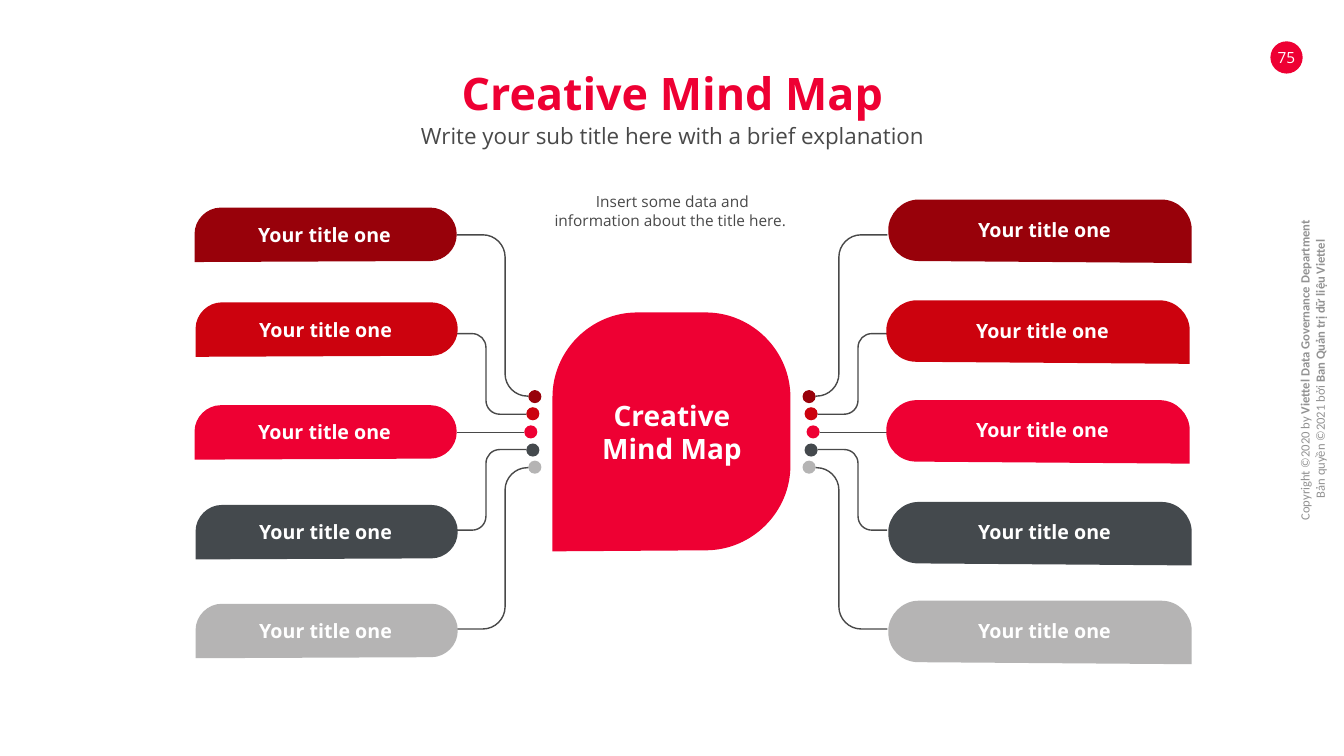
from math import hypot

from lxml import etree
from pptx import Presentation
from pptx.dml.color import RGBColor
from pptx.enum.shapes import MSO_CONNECTOR, MSO_SHAPE
from pptx.enum.text import MSO_ANCHOR, MSO_AUTO_SIZE, PP_ALIGN
from pptx.oxml.ns import qn
from pptx.util import Pt

PX = 9144  # 100 px to the inch
WIDE, HIGH = 1333, 750
OVAL, LINE = MSO_SHAPE.OVAL, MSO_CONNECTOR.STRAIGHT
TOP, CENTER = MSO_ANCHOR.TOP, PP_ALIGN.CENTER
GROW = MSO_AUTO_SIZE.SHAPE_TO_FIT_TEXT
RED, GREY, WHITE = "EE0033", "494949", "FFFFFF"
COLORS = ["98010A", "CC020E", RED, "44494D", "B5B4B4"]
hue = RGBColor.from_string

deck = Presentation()
deck.slide_width, deck.slide_height = WIDE * PX, HIGH * PX
slide = deck.slides.add_slide(deck.slide_layouts[5])
shapes = slide.shapes


def outline(corners, closed):
    """Draw a path through corners (x, y, radius), each rounded by a curve."""
    points, curves = [], {}
    for i, (x, y, r) in enumerate(corners):
        if r == 0:
            points.append((x, y))
            continue
        for ax, ay, _ in (corners[i - 1], corners[(i + 1) % len(corners)]):
            part = r / hypot(ax - x, ay - y)
            points.append((x + (ax - x) * part, y + (ay - y) * part))
        curves[len(points) - 1] = (x, y)
    pen = shapes.build_freeform(*points[0], scale=PX)
    pen.add_line_segments(points[1:], close=closed)
    shape = pen.convert_to_shape()
    path = next(shape._element.iter(qn("a:path")))
    ratio = int(path.get("w")) / shape.width
    steps = list(path)
    for j, (x, y) in curves.items():
        curve = etree.SubElement(path, qn("a:cubicBezTo"))
        for (px, py), pull in ((points[j - 1], 0.55), (points[j], 0.55),
                               (points[j], 0)):
            spot = etree.SubElement(curve, qn("a:pt"))
            px, py = px + (x - px) * pull, py + (y - py) * pull
            spot.set("x", str(round((px * PX - shape.left) * ratio)))
            spot.set("y", str(round((py * PX - shape.top) * ratio)))
        path.replace(steps[j], curve)
    return shape


def write(shape, box, lines, size, color, bold=False, font="Open Sans"):
    """Place a text shape and set its lines in one style."""
    shape.left, shape.top, shape.width, shape.height = [n * PX for n in box]
    frame = shape.text_frame
    frame.auto_size, frame.word_wrap = GROW, True
    frame.vertical_anchor = TOP
    frame.margin_left = frame.margin_right = 0
    frame.margin_top = frame.margin_bottom = 0
    frame.text = "\n".join(lines)
    for para in frame.paragraphs:
        para.alignment = CENTER
        para.font.name, para.font.size = font, Pt(size)
        para.font.bold, para.font.color.rgb = bold, hue(color)
    return frame


# Headings
write(shapes.title, (73, 65, 1188, 54), ["Creative Mind Map"], 32, RED, True)
write(shapes.add_textbox(0, 0, 0, 0), (73, 121, 1188, 27),
      ["Write your sub title here with a brief explanation"], 16, GREY)
hint = write(shapes.add_textbox(0, 0, 0, 0), (548, 191, 238, 37),
             ["Insert some data and information about the title here. "],
             11, GREY)
hint.paragraphs[0].space_after = Pt(12)

# Page number badge and the five rows of dots, wires and pills
badge = shapes.add_shape(OVAL, 1260 * PX, 41 * PX, 32 * PX, 32 * PX)
solids, wires = [(badge, RED)], []
left_pills = [(193, 206), (194, 300), (193, 402), (194, 501), (194, 599)]
right_pills = [(881, 198), (879, 298), (879, 397), (881, 498), (881, 596)]
bends = {2: (832, 22), 1: (851, 14)}  # bend x, radius

for i, color in enumerate(COLORS):
    row = i - 2
    step = abs(row)
    mid = 428.6 + 17.7 * row
    y, end = round(mid), round(428.6 + 97.7 * row)
    start = 813 - 2 * step
    for flip in (False, True):
        # Dot
        x = WIDE - start if flip else start - 13
        dot = shapes.add_shape(OVAL, x * PX, round(mid - 6.6) * PX,
                               13 * PX, 13 * PX)
        solids.append((dot, color))
        # Wire
        if row:
            bend, r = bends[step]
            path = [(start, y, 0), (bend, y, r), (bend, end, r), (880, end, 0)]
            if flip:
                path = [(WIDE - px, py, pr) for px, py, pr in path]
            wire = outline(path, False)
            wire.fill.background()
            wire.shadow.inherit = False
        else:
            ends = (WIDE - start, WIDE - 880) if flip else (start, 880)
            wire = shapes.add_connector(LINE, ends[0] * PX, y * PX,
                                        ends[1] * PX, y * PX)
        wires.append(wire)

    # Pills, each with one square corner at the outer foot
    x, y = left_pills[i]
    left = outline([(x, y, 26), (x + 260, y, 26), (x + 260, y + 53, 26),
                    (x, y + 54, 0)], True)
    write(shapes.add_textbox(0, 0, 0, 0), (x, y + 15, 258, 24),
          ["Your title one"], 14, WHITE, True)
    x, y = right_pills[i]
    right = outline([(x, y, 30), (x + 301, y, 30), (x + 301, y + 63, 0),
                     (x, y + 61, 30)], True)
    write(shapes.add_textbox(0, 0, 0, 0), (x + 26, y + 18, 258, 24),
          ["Your title one"], 14, WHITE, True)
    solids += [(left, color), (right, color)]

# Centre
hub = outline([(548, 310, 84), (784, 310, 84), (784, 546, 84),
               (548, 547, 0)], True)
solids.append((hub, RED))
write(shapes.add_textbox(0, 0, 0, 0), (565, 395, 203, 67),
      ["Creative", "Mind Map"], 20, WHITE, True)

# Fills and lines
for shape, color in solids:
    shape.fill.solid()
    shape.fill.fore_color.rgb = hue(color)
    shape.line.fill.background()
    shape.shadow.inherit = False
for wire in wires:
    wire.line.color.rgb, wire.line.width = hue(GREY), Pt(1)
    props = wire._element.spPr
    if props.find(qn("a:effectLst")) is None:
        etree.SubElement(props, qn("a:effectLst"))

# Page number and copyright
write(shapes.add_textbox(0, 0, 0, 0), (1256, 48, 40, 19), ["75"], 11, WHITE)
note = shapes.add_textbox(0, 0, 0, 0)
note.rotation = 270
frame = write(note, (1071, 346, 461, 40),
              ["Copyright ©2020 by ", "Bản quyền ©2021 bởi "], 9, "929292",
              font="Calibri")
frame.margin_top = frame.margin_bottom = 5 * PX
owners = ["Viettel Data Governance Department ", "Ban Quản trị dữ liệu Viettel"]
for para, owner in zip(frame.paragraphs, owners):
    run = para.add_run()
    run.text, run.font.bold = owner, True

deck.save("out.pptx")
